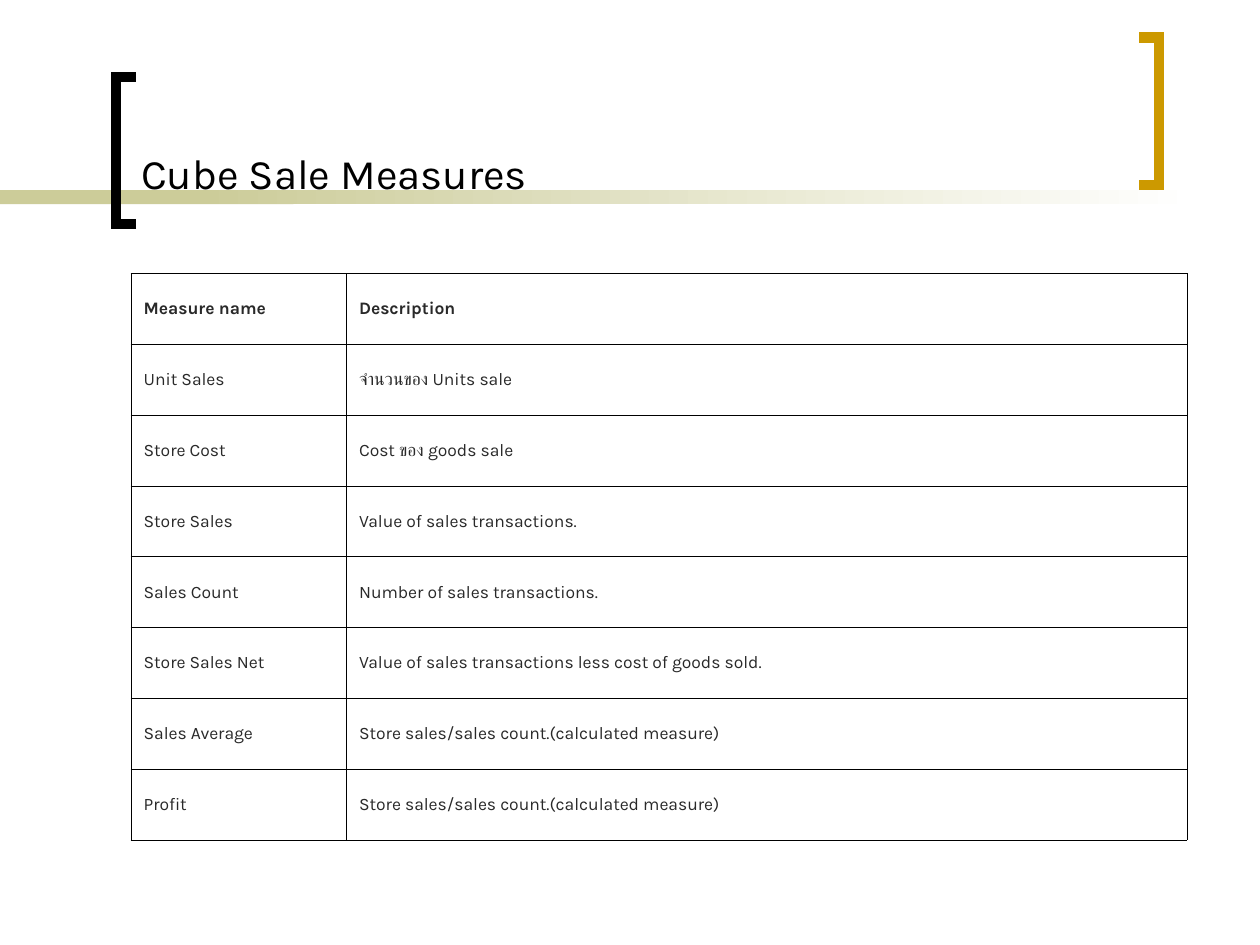
from typing import NamedTuple

import pptx
import pptx.dml.color
import pptx.enum.shapes
import pptx.enum.text
import pptx.oxml
import pptx.oxml.ns
import pptx.util

Inches, Pt = pptx.util.Inches, pptx.util.Pt
RGBColor = pptx.dml.color.RGBColor
PP_ALIGN = pptx.enum.text.PP_ALIGN
MSO_ANCHOR = pptx.enum.text.MSO_ANCHOR
RECTANGLE = pptx.enum.shapes.MSO_SHAPE.RECTANGLE
qn = pptx.oxml.ns.qn

BLACK = RGBColor(0x00, 0x00, 0x00)
WHITE = RGBColor(0xFF, 0xFF, 0xFF)
SAND = RGBColor(0xCC, 0xCC, 0x99)
GOLD = RGBColor(0xCC, 0x99, 0x00)
INK = RGBColor(0x29, 0x29, 0x29)
FONT = "Karla"
BAND_TOP, BAND_HEIGHT = 1.51, 0.11
BRACKET_HEIGHT = 1.17
HANGING = Inches(0.49)


class Bracket(NamedTuple):
    spine_x: float
    tip_x: float
    top: float
    color: RGBColor


class Measure(NamedTuple):
    name: str
    description: str
    description_align: PP_ALIGN = PP_ALIGN.JUSTIFY


BRACKETS = [
    Bracket(0.92, 1.08, 0.61, BLACK),
    Bracket(9.2, 9.04, 0.3, GOLD),
]
MEASURES = [
    Measure("Measure name", "Description"),
    Measure("Unit Sales", "จำนวนของ Units sale"),
    Measure("Store Cost", "Cost ของ goods sale"),
    Measure("Store Sales", "Value of sales transactions.", PP_ALIGN.LEFT),
    Measure("Sales Count", "Number of sales transactions.", PP_ALIGN.LEFT),
    Measure("Store Sales Net", "Value of sales transactions less cost of goods sold."),
    Measure("Sales Average", "Store sales/sales count.(calculated measure)"),
    Measure("Profit", "Store sales/sales count.(calculated measure)"),
]
COLUMN_WIDTHS = [1.71, 6.67]
ROW_HEIGHT = 4.5 / len(MEASURES)


def add_band(slide, left: float, width: float):
    band = slide.shapes.add_shape(
        RECTANGLE, Inches(left), Inches(BAND_TOP), Inches(width), Inches(BAND_HEIGHT))
    band.shadow.inherit = False
    band.line.fill.background()
    return band


def add_bands(slide) -> None:
    """Draw the solid band and the one that fades to the right."""
    solid = add_band(slide, 0, 2.33)
    solid.fill.solid()
    solid.fill.fore_color.rgb = SAND
    fading = add_band(slide, 1.58, 7.92)
    fading.fill.gradient()
    fading.fill.gradient_angle = 0
    for stop, color in zip(fading.fill.gradient_stops, (SAND, WHITE)):
        stop.color.rgb = color


def add_bracket(slide, bracket: Bracket) -> None:
    tip, spine = Inches(bracket.tip_x), Inches(bracket.spine_x)
    top, bottom = Inches(bracket.top), Inches(bracket.top + BRACKET_HEIGHT)
    builder = slide.shapes.build_freeform(tip, bottom)
    builder.add_line_segments([(spine, bottom), (spine, top), (tip, top)], close=False)
    outline = builder.convert_to_shape()
    outline.shadow.inherit = False
    outline.fill.background()
    outline.line.color.rgb = bracket.color
    outline.line.width = Pt(6)
    line = outline.element.spPr.find(qn("a:ln"))
    line.append(pptx.oxml.parse_xml(
        f'<a:miter {pptx.oxml.ns.nsdecls("a")} lim="800000"/>'))


def place_title(slide, text: str) -> None:
    title = slide.shapes.title
    title.left, title.top = Inches(1.02), Inches(0.11)
    title.width, title.height = Inches(7.83), Inches(1.55)
    frame = title.text_frame
    frame.text = text
    frame.word_wrap = True
    frame.auto_size = pptx.enum.text.MSO_AUTO_SIZE.NONE
    frame.vertical_anchor = MSO_ANCHOR.BOTTOM
    frame.margin_bottom = Inches(0.09)
    heading = frame.paragraphs[0]
    heading.alignment = PP_ALIGN.LEFT
    heading.font.name, heading.font.size = FONT, Pt(24)
    heading.font.color.rgb = BLACK
    # The title stands in front of the bands.
    title.element.getparent().append(title.element)


def add_borders(cell) -> None:
    properties = cell._tc.get_or_add_tcPr()
    for side in ("lnL", "lnR", "lnT", "lnB"):
        properties.append(pptx.oxml.parse_xml(
            f'<a:{side} {pptx.oxml.ns.nsdecls("a")} w="{Pt(0.45)}">'
            f'<a:solidFill><a:srgbClr val="{BLACK}"/></a:solidFill></a:{side}>'))


def fill_cell(cell, text: str, align: PP_ALIGN, bold: bool) -> None:
    add_borders(cell)
    cell.fill.background()
    cell.vertical_anchor = MSO_ANCHOR.MIDDLE
    cell.text = text
    entry = cell.text_frame.paragraphs[0]
    entry.alignment = align
    indents = entry._p.get_or_add_pPr()
    indents.set("marL", str(HANGING))
    indents.set("indent", str(-HANGING))
    entry.font.name, entry.font.size = FONT, Pt(10)
    entry.font.bold = bold
    entry.font.color.rgb = INK


def add_measure_table(slide) -> None:
    table = slide.shapes.add_table(
        len(MEASURES), len(COLUMN_WIDTHS), Inches(1.04), Inches(2.17),
        Inches(sum(COLUMN_WIDTHS)), Inches(ROW_HEIGHT * len(MEASURES))).table
    table.horz_banding = False
    for column, width in zip(table.columns, COLUMN_WIDTHS):
        column.width = Inches(width)
    for index, measure in enumerate(MEASURES):
        table.rows[index].height = Inches(ROW_HEIGHT)
        is_header = index == 0
        fill_cell(table.cell(index, 0), measure.name, PP_ALIGN.JUSTIFY, is_header)
        fill_cell(table.cell(index, 1), measure.description,
                  measure.description_align, is_header)


def main() -> None:
    deck = pptx.Presentation()
    deck.slide_width, deck.slide_height = Inches(10), Inches(7.5)
    slide = deck.slides.add_slide(deck.slide_layouts.get_by_name("Title Only"))
    add_bands(slide)
    for bracket in BRACKETS:
        add_bracket(slide, bracket)
    place_title(slide, "Cube Sale Measures")
    add_measure_table(slide)
    deck.save("out.pptx")


if __name__ == "__main__":
    main()
